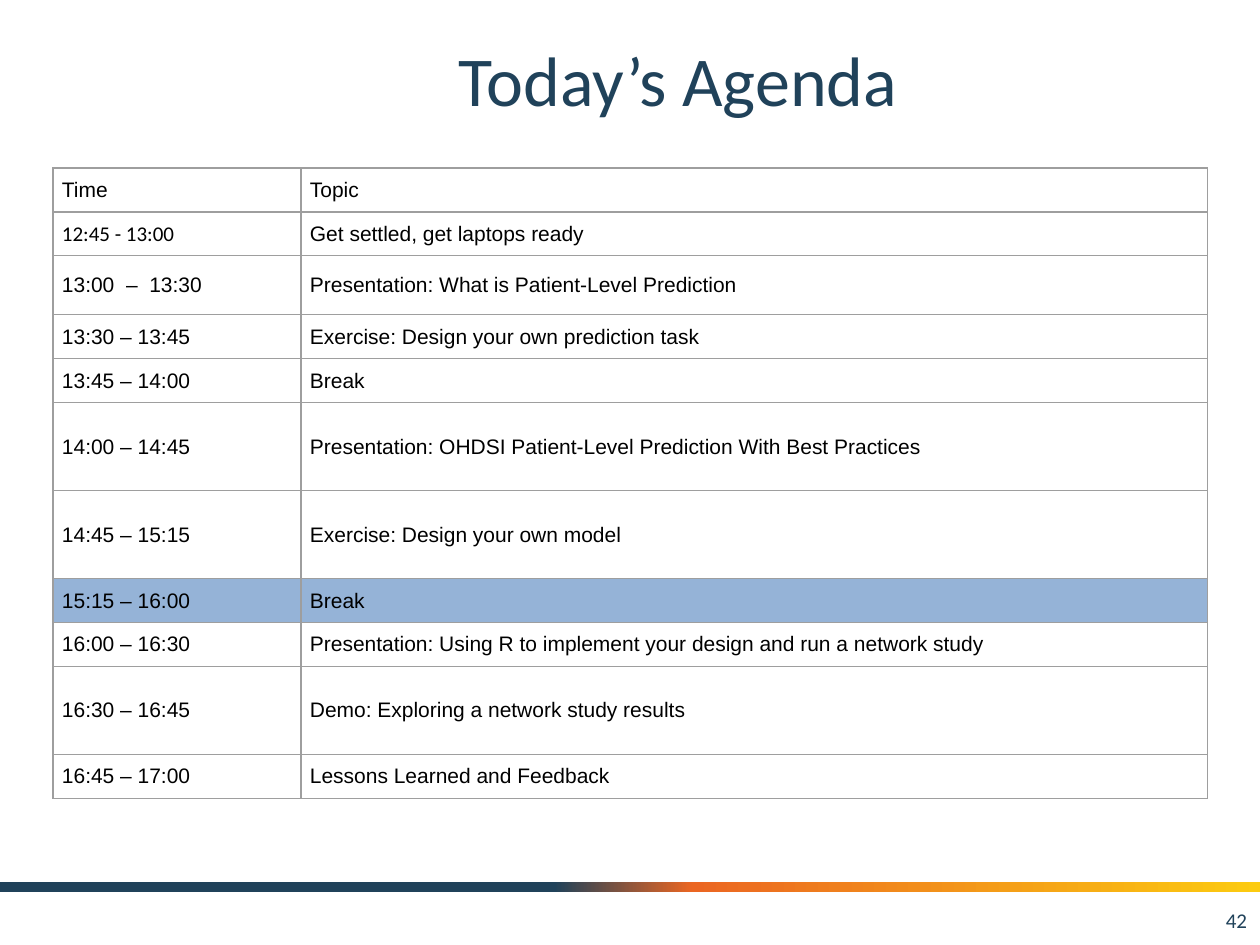
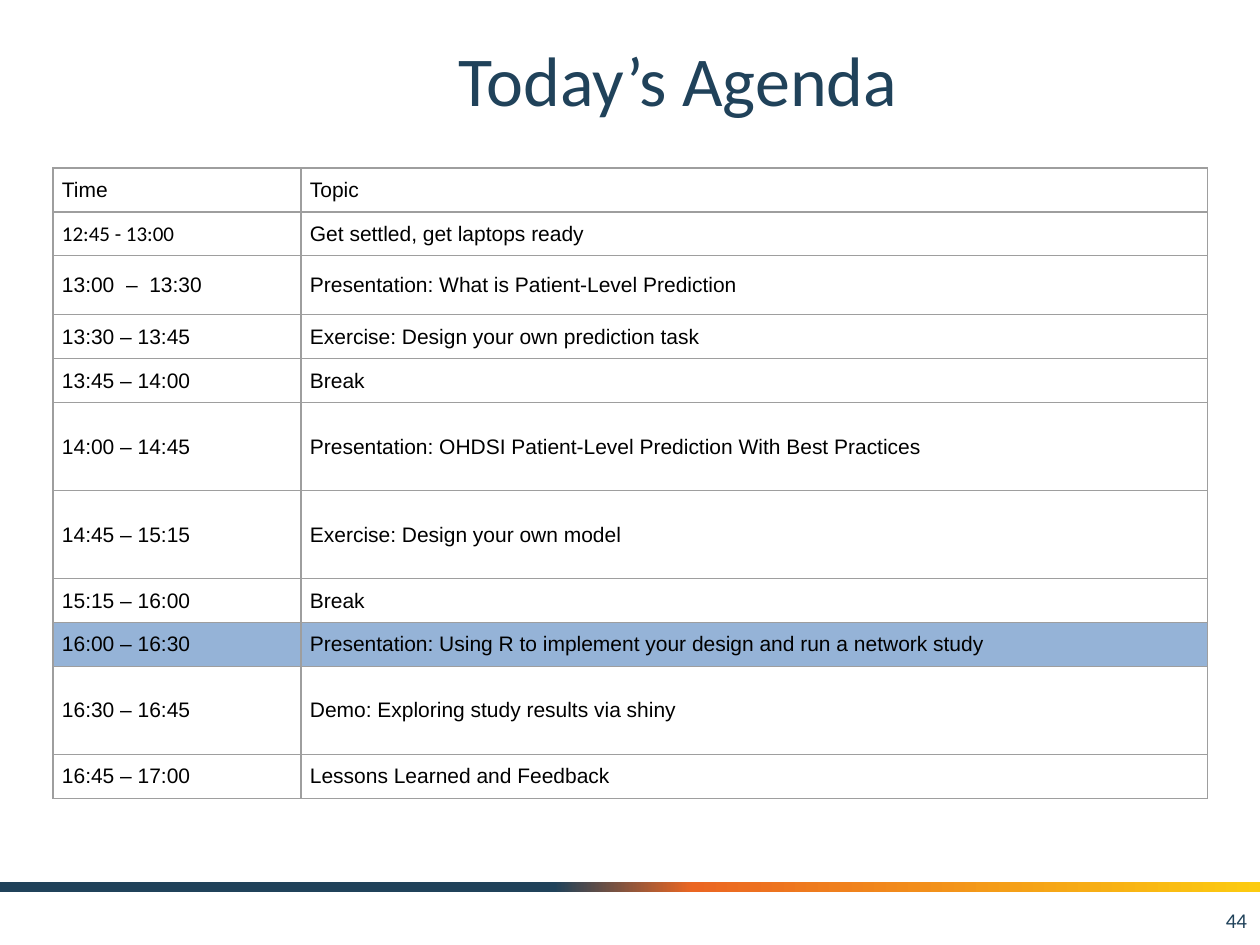
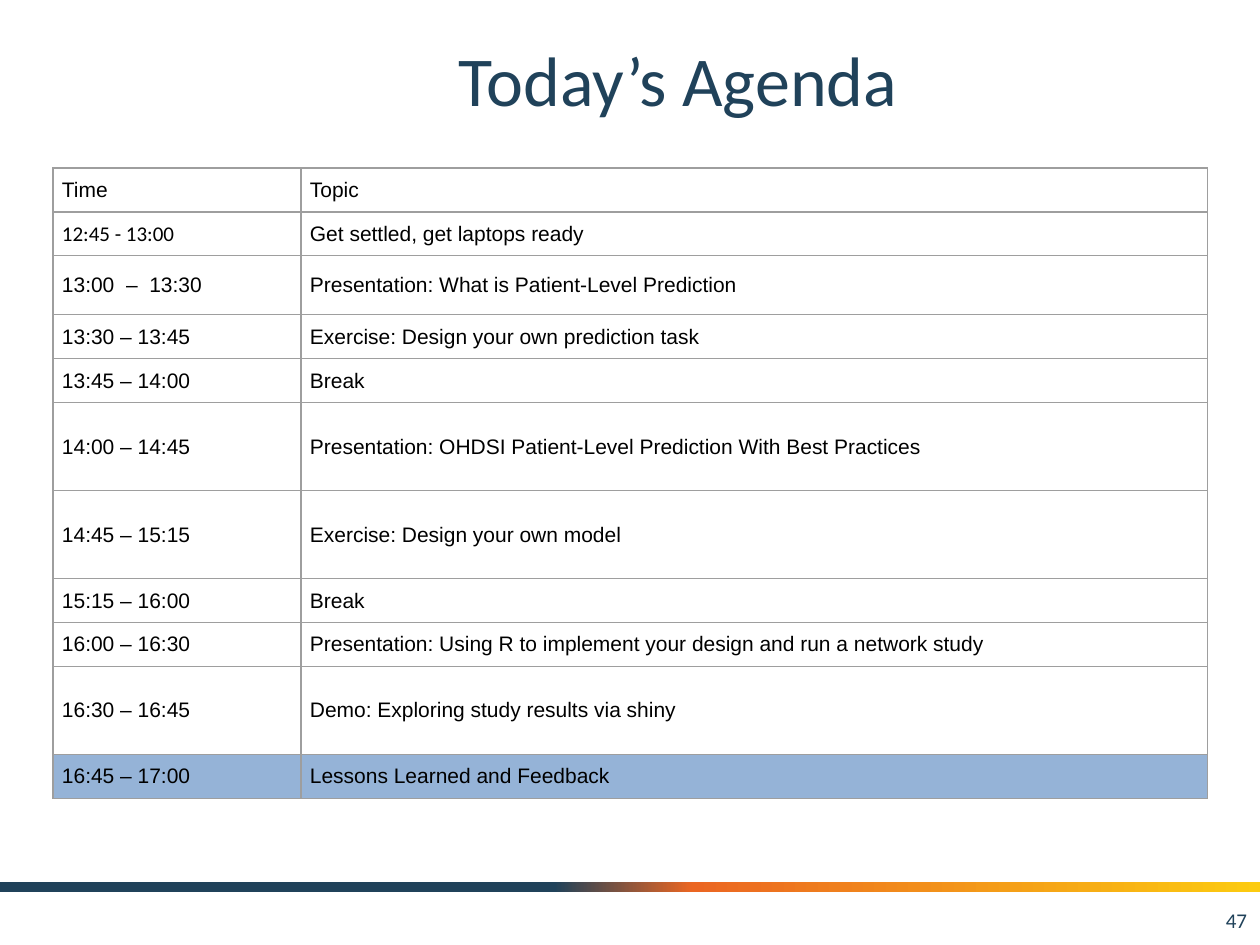
from dataclasses import dataclass

from lxml.etree import SubElement
from pptx import Presentation
from pptx.dml.color import RGBColor
from pptx.enum.shapes import MSO_SHAPE
from pptx.enum.text import MSO_ANCHOR, PP_ALIGN
from pptx.oxml.ns import qn
from pptx.util import Emu, Pt

EMU_PER_PX = 914400 / 126
WIDTH, HEIGHT = 1260, 945


def px(n):
    return Emu(round(n * EMU_PER_PX))


@dataclass(frozen=True)
class Theme:
    navy: str = "20425A"
    orange: str = "EB6622"
    yellow: str = "FCCB10"
    ink: str = "000000"
    rule: str = "9E9E9E"
    highlight: str = "95B3D7"
    head_font: str = "Calibri"
    body_font: str = "Arial"
    title_size: int = 40
    text_size: int = 12
    rule_width: float = 0.75


SINGLE, MEDIUM, DOUBLE = 44, 59, 88
TIME_WIDTH, TOPIC_WIDTH = 248, 907
CALIBRI_TIME = "12:45 - 13:00"


def agenda(demo):
    return [
        (SINGLE, "Time", "Topic"),
        (SINGLE, CALIBRI_TIME, "Get settled, get laptops ready"),
        (MEDIUM, "13:00  –  13:30", "Presentation: What is Patient-Level Prediction"),
        (SINGLE, "13:30 – 13:45", "Exercise: Design your own prediction task"),
        (SINGLE, "13:45 – 14:00", "Break"),
        (DOUBLE, "14:00 – 14:45",
         "Presentation: OHDSI Patient-Level Prediction With Best Practices"),
        (DOUBLE, "14:45 – 15:15", "Exercise: Design your own model"),
        (SINGLE, "15:15 – 16:00", "Break"),
        (SINGLE, "16:00 – 16:30",
         "Presentation: Using R to implement your design and run a network study"),
        (DOUBLE, "16:30 – 16:45", demo),
        (SINGLE, "16:45 – 17:00", "Lessons Learned and Feedback"),
    ]


class Deck:
    def __init__(self, theme):
        self.theme = theme
        self.prs = Presentation()
        self.prs.slide_width, self.prs.slide_height = px(WIDTH), px(HEIGHT)
        self.s = None

    def slide(self, title, number):
        """Start a slide with the shared band, title and page number."""
        t = self.theme
        self.s = self.prs.slides.add_slide(self.prs.slide_layouts[6])
        self.band()
        self.text((158, 21, 1040, 116), title, t.title_size, PP_ALIGN.CENTER, 13)
        self.text((966, 895, 294, 50), str(number), t.text_size, PP_ALIGN.RIGHT, 6)

    def band(self):
        t = self.theme
        sp = self.s.shapes.add_shape(MSO_SHAPE.RECTANGLE, *map(px, (0, 882, WIDTH, 10)))
        sp.shadow.inherit = False
        sp.line.fill.background()
        sp.fill.gradient()
        sp.fill.gradient_angle = 0
        stops = sp.fill._fill._gradFill.find(qn("a:gsLst"))
        stops.clear()
        for pos, color in ((0, t.navy), (44, t.navy), (55, t.orange), (100, t.yellow)):
            gs = SubElement(stops, qn("a:gs"), pos=str(pos * 1000))
            SubElement(gs, qn("a:srgbClr"), val=color)

    def run(self, p, text, size, font, color):
        r = p.add_run()
        r.text = text
        r.font.size, r.font.name = Pt(size), font
        r.font.color.rgb = RGBColor.from_string(color)

    def text(self, box, text, size, align, inset_y):
        tf = self.s.shapes.add_textbox(*map(px, box)).text_frame
        tf.word_wrap = True
        tf.vertical_anchor = MSO_ANCHOR.MIDDLE
        tf.margin_left = tf.margin_right = px(13)
        tf.margin_top = tf.margin_bottom = px(inset_y)
        p = tf.paragraphs[0]
        p.alignment = align
        self.run(p, text, size, self.theme.head_font, self.theme.navy)

    def borders(self, cell):
        tc_pr = cell._tc.get_or_add_tcPr()
        for side in "LRTB":
            ln = SubElement(tc_pr, qn(f"a:ln{side}"), w=str(Pt(self.theme.rule_width)))
            fill = SubElement(ln, qn("a:solidFill"))
            SubElement(fill, qn("a:srgbClr"), val=self.theme.rule)

    def cell(self, cell, text, highlighted):
        t = self.theme
        cell.margin_left = cell.margin_right = px(9)
        cell.margin_top = cell.margin_bottom = 0
        cell.vertical_anchor = MSO_ANCHOR.MIDDLE
        self.borders(cell)
        if highlighted:
            cell.fill.solid()
            cell.fill.fore_color.rgb = RGBColor.from_string(t.highlight)
        else:
            cell.fill.background()
        font = t.head_font if text == CALIBRI_TIME else t.body_font
        self.run(cell.text_frame.paragraphs[0], text, t.text_size, font, t.ink)

    def table(self, rows, current):
        """Draw the agenda and highlight the row whose time is current."""
        widths = (TIME_WIDTH, TOPIC_WIDTH)
        box = (53, 168, sum(widths), sum(row[0] for row in rows))
        table = self.s.shapes.add_table(len(rows), len(widths), *map(px, box)).table
        table.first_row = table.horz_banding = False
        for column, width in zip(table.columns, widths):
            column.width = px(width)
        for row, (height, *texts) in zip(table.rows, rows):
            row.height = px(height)
            for cell, text in zip(row.cells, texts):
                self.cell(cell, text, texts[0] == current)


def main():
    deck = Deck(Theme())
    shiny_demo = "Demo: Exploring study results via shiny"
    for number, current, demo in (
        (42, "15:15 – 16:00", "Demo: Exploring a network study results"),
        (44, "16:00 – 16:30", shiny_demo),
        (47, "16:45 – 17:00", shiny_demo),
    ):
        deck.slide("Today’s Agenda", number)
        deck.table(agenda(demo), current)
    deck.prs.save("out.pptx")


if __name__ == "__main__":
    main()
